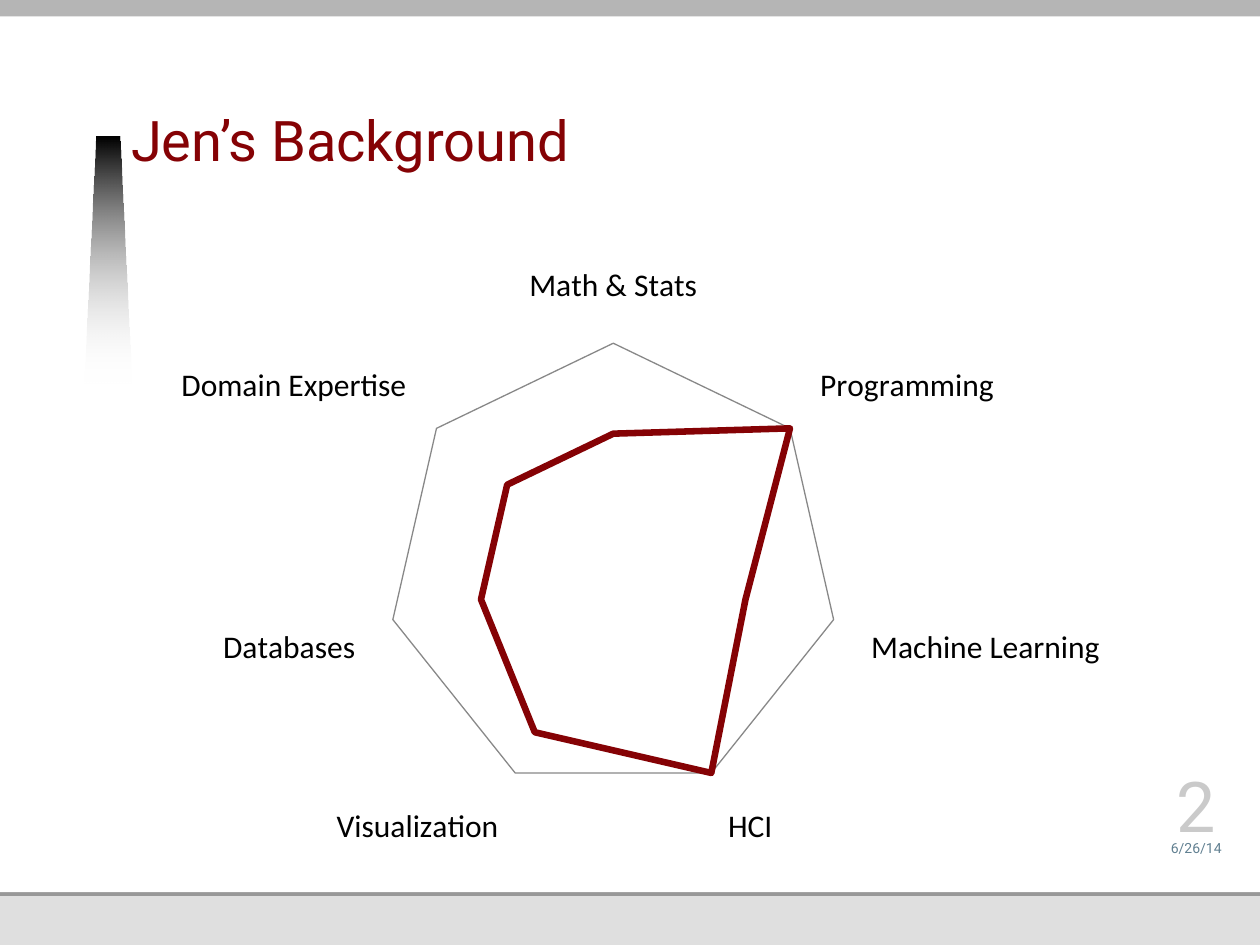
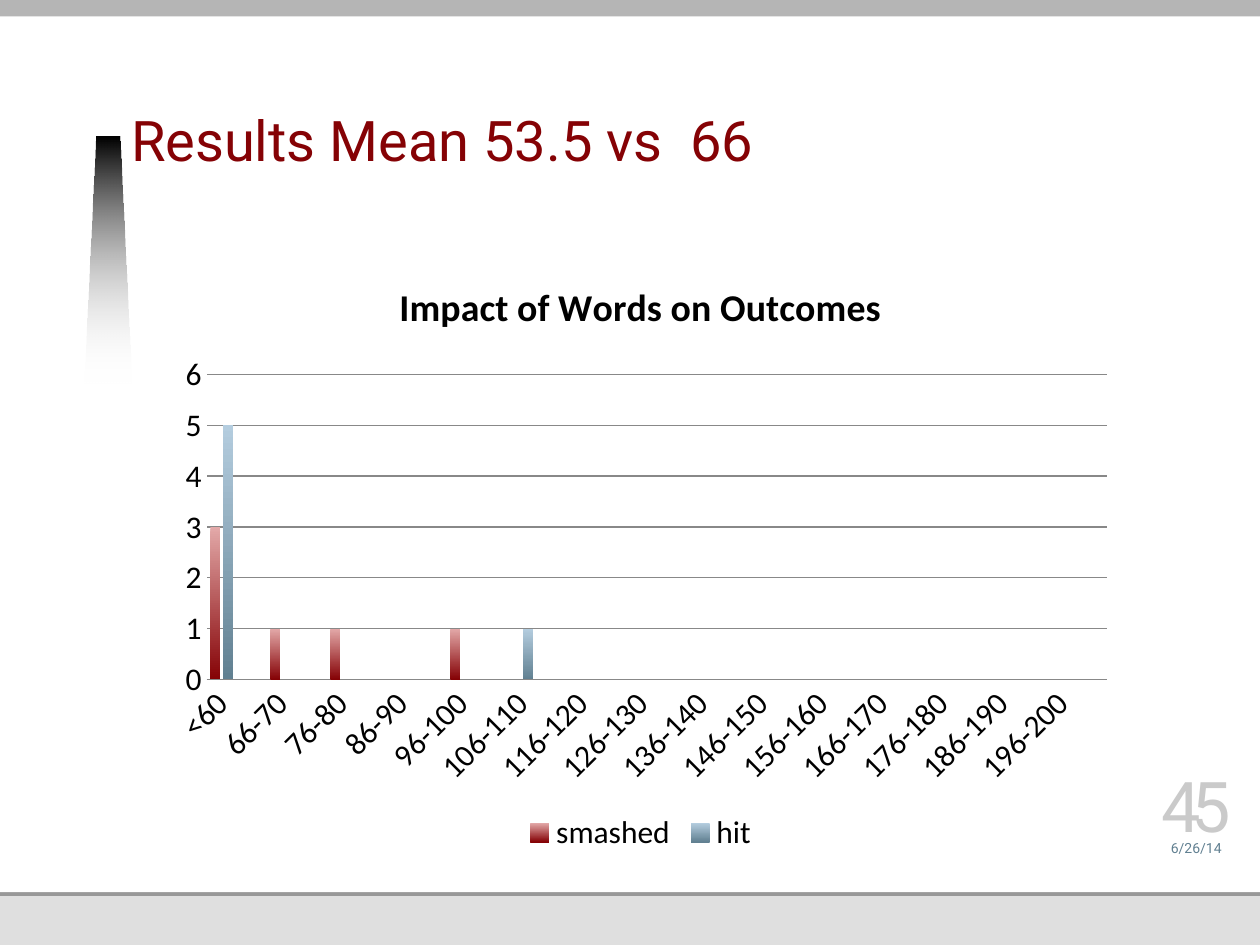
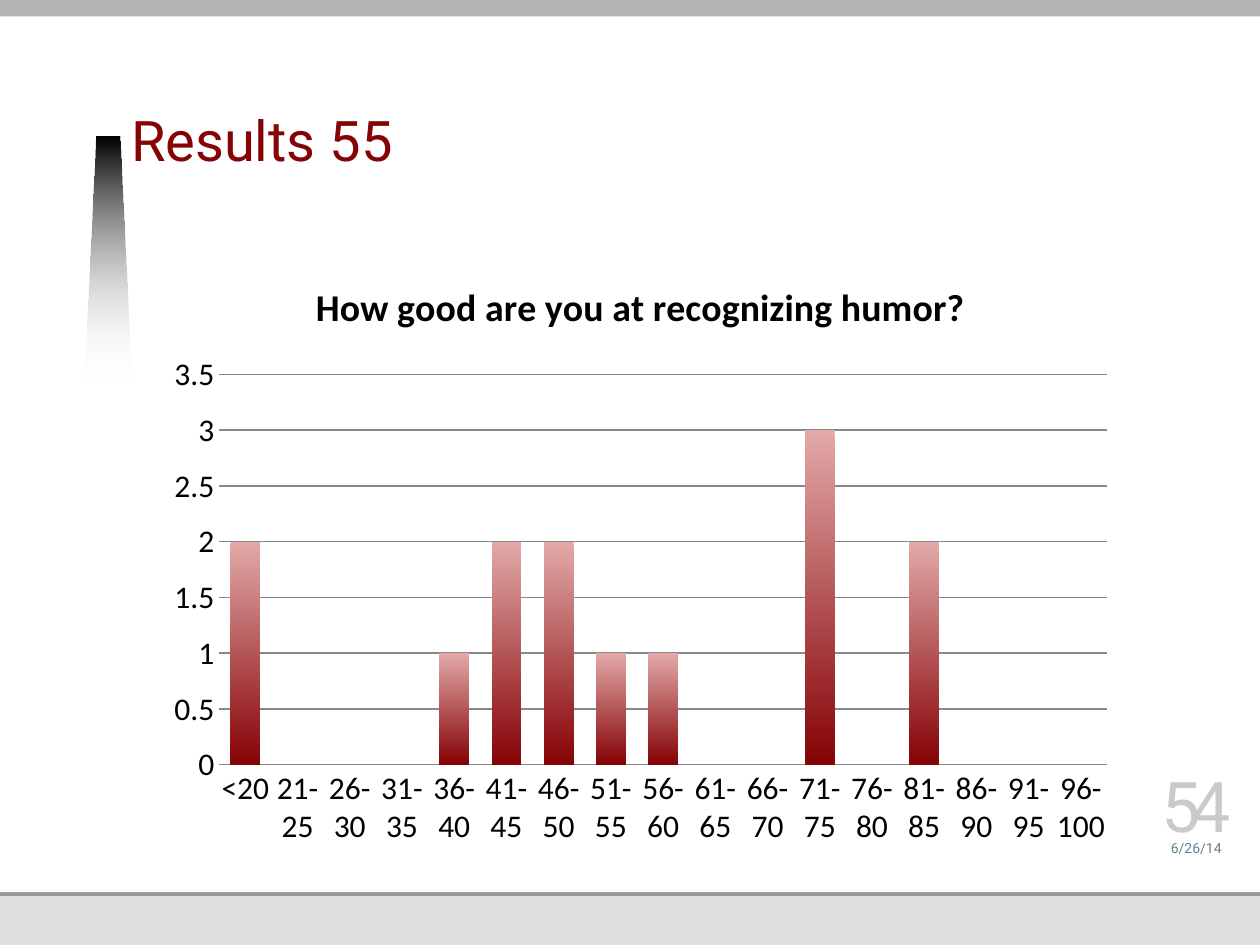
from dataclasses import dataclass

from lxml.etree import SubElement
from pptx import Presentation
from pptx.chart.data import CategoryChartData
from pptx.dml.color import RGBColor
from pptx.enum.chart import XL_CHART_TYPE, XL_LEGEND_POSITION, XL_TICK_MARK
from pptx.enum.shapes import MSO_SHAPE
from pptx.enum.text import MSO_ANCHOR, PP_ALIGN
from pptx.oxml.ns import qn
from pptx.util import Inches, Pt

COLORS = {
    "red": "850205", "light red": "E3A9A9",
    "blue": "618091", "light blue": "B4CDDF",
    "black": "000000", "white": "FFFFFF",
    "footer": "DFDFDF", "rule": "989898", "band": "B5B5B5",
    "number": "CACACA", "grid": "888888",
}
HEADING_FONT, CHART_FONT = "Roboto", "Calibri"
DATE = "6/26/14"


@dataclass
class Box:
    left: int
    top: int
    width: int
    height: int

    def inner(self, left, top, width, height):
        """Return an inner box given in percent of this one."""
        return Box(round(self.left + self.width * left / 100),
                   round(self.top + self.height * top / 100),
                   round(self.width * width / 100),
                   round(self.height * height / 100))

    def bounds(self):
        return self.left, self.top, self.width, self.height


def color(name):
    return RGBColor.from_string(COLORS[name])


def set_gradient(fill, top, bottom):
    fill.gradient()
    fill.gradient_angle = 270
    for stop, name in zip(fill.gradient_stops, (top, bottom)):
        stop.color.rgb = color(name)


def add_band(slide, box, name):
    shape = slide.shapes.add_shape(MSO_SHAPE.RECTANGLE, *box.bounds())
    shape.shadow.inherit = False
    shape.fill.solid()
    shape.fill.fore_color.rgb = color(name)
    shape.line.fill.background()


def add_beam(slide, box):
    """Draw the tapered beam that fades out beside the title."""
    right, bottom = box.left + box.width, box.top + box.height
    inset = box.width // 4
    builder = slide.shapes.build_freeform(box.left, bottom, scale=1.0)
    builder.add_line_segments([(box.left + inset, box.top),
                               (right - inset, box.top), (right, bottom)])
    beam = builder.convert_to_shape()
    beam.shadow.inherit = False
    beam.line.fill.background()
    set_gradient(beam.fill, "black", "white")
    last_color = list(beam.element.iter(qn("a:srgbClr")))[-1]
    SubElement(last_color, qn("a:alpha"), val="0")


def add_text(slide, box, text, size, name, align=PP_ALIGN.LEFT,
             bottom_margin=0, line_points=None, spacing=None):
    frame = slide.shapes.add_textbox(*box.bounds()).text_frame
    frame.word_wrap = True
    frame.vertical_anchor = MSO_ANCHOR.BOTTOM
    frame.margin_left = frame.margin_right = frame.margin_top = 0
    frame.margin_bottom = Inches(bottom_margin)
    frame.text = text
    paragraph = frame.paragraphs[0]
    paragraph.alignment = align
    if line_points:
        paragraph.line_spacing = Pt(line_points)
    run = paragraph.runs[0]
    run.font.name = HEADING_FONT
    run.font.size = Pt(size)
    run.font.color.rgb = color(name)
    if spacing:
        run._r.get_or_add_rPr().set("spc", str(spacing * 100))


def add_background(slide, page):
    add_band(slide, page, "footer")
    add_band(slide, page.inner(0, 23.7, 100, 71.1), "rule")
    add_band(slide, page.inner(0, 0, 100, 94.4), "white")
    add_beam(slide, page.inner(6.7, 14.4, 3.75, 26.2))
    add_band(slide, page.inner(0, -0.53, 101.7, 2.27), "band")


def add_footer(slide, box, number):
    add_text(slide, box.inner(0, 65.6, 100, 34.4), DATE, 8, "blue", PP_ALIGN.CENTER)
    add_text(slide, box.inner(0, 0, 100, 87.5), number, 40, "number",
             PP_ALIGN.CENTER, spacing=-5)


def add_chart(slide, box, kind, categories, series):
    data = CategoryChartData()
    data.categories = categories
    for name, values in series.items():
        data.add_series(name, values)
    chart = slide.shapes.add_chart(kind, *box.bounds(), data).chart
    chart.font.name = CHART_FONT
    chart.font.size = Pt(18)
    chart.font.color.rgb = color("black")
    chart.has_title = chart.has_legend = False
    chart.category_axis.major_tick_mark = XL_TICK_MARK.NONE
    axis = chart.value_axis
    axis.major_tick_mark = XL_TICK_MARK.NONE
    axis.has_major_gridlines = True
    for line in (axis.major_gridlines.format.line, chart.category_axis.format.line):
        line.color.rgb = color("grid")
        line.width = Pt(0.75)
    return chart


def set_scale(chart, maximum, unit):
    axis = chart.value_axis
    axis.minimum_scale, axis.maximum_scale, axis.major_unit = 0, maximum, unit


def add_radar_chart(slide, box, categories, series):
    chart = add_chart(slide, box, XL_CHART_TYPE.RADAR, categories, series)
    set_scale(chart, 100, 100)
    chart.category_axis.has_major_gridlines = True
    chart.value_axis.visible = False
    for skill_series in chart.plots[0].series:
        skill_series.smooth = False
        skill_series.format.line.color.rgb = color("red")
        skill_series.format.line.width = Pt(3.75)


def add_column_chart(slide, box, title, categories, series, maximum, unit):
    chart = add_chart(slide, box, XL_CHART_TYPE.COLUMN_CLUSTERED, categories, series)
    set_scale(chart, maximum, unit)
    chart.value_axis.format.line.fill.background()

    # Title
    chart.has_title = True
    chart.chart_title.text_frame.text = title
    font = chart.chart_title.text_frame.paragraphs[0].runs[0].font
    font.name, font.size, font.bold = CHART_FONT, Pt(21.6), True
    font.color.rgb = color("black")

    # Columns
    plot = chart.plots[0]
    plot.vary_by_categories = False
    plot.gap_width, plot.overlap = 75, -25
    for column_series, name in zip(plot.series, ("red", "blue")):
        set_gradient(column_series.format.fill, "light " + name, name)

    # Legend
    if len(series) > 1:
        chart.has_legend = True
        chart.legend.position = XL_LEGEND_POSITION.BOTTOM
        chart.legend.include_in_layout = False


def add_slide(presentation, title, number):
    """Add a slide with the shared elements and return it with its chart box."""
    slide = presentation.slides.add_slide(presentation.slide_layouts[6])
    page = Box(0, 0, presentation.slide_width, presentation.slide_height)
    add_background(slide, page)
    add_text(slide, page.inner(10.4, 4.53, 68.7, 14.4), title, 32, "red",
             bottom_margin=0.05, line_points=34)
    add_footer(slide, page.inner(91.3, 82.13, 7.3, 8.53), number)
    return slide, page.inner(12.3, 26.93, 77.1, 63.87)


def ranges(first, last, step=5):
    return [f"{low}-{low + step - 1}" for low in range(first, last, step)]


def place_counts(categories, counts):
    return [counts.get(category, 0) for category in categories]


def main():
    presentation = Presentation()
    presentation.slide_width, presentation.slide_height = Inches(10), Inches(7.5)

    # Skills
    slide, box = add_slide(presentation, "Jen’s Background", "2")
    skills = {"Math & Stats": 60, "Programming": 100, "Machine Learning": 60,
              "HCI": 100, "Visualization": 80, "Databases": 60,
              "Domain Expertise": 60}
    add_radar_chart(slide, box, list(skills), {"Series 1": list(skills.values())})

    # Word choice
    slide, box = add_slide(presentation, "Results Mean 53.5 vs  66", "45")
    speeds = ["<60", *ranges(61, 200), ">200"]
    smashed = {"<60": 3, "66-70": 1, "76-80": 1, "96-100": 1}
    hit = {"<60": 5, "106-110": 1}
    add_column_chart(slide, box, "Impact of Words on Outcomes", speeds,
                     {"smashed": place_counts(speeds, smashed),
                      "hit": place_counts(speeds, hit)}, 6, 1)

    # Humor
    slide, box = add_slide(presentation, "Results 55", "54")
    scores = ["<20", *ranges(21, 100)]
    answers = {"<20": 2, "36-40": 1, "41-45": 2, "46-50": 2, "51-55": 1,
               "56-60": 1, "71-75": 3, "81-85": 2}
    add_column_chart(slide, box, "How good are you at recognizing humor?", scores,
                     {"Series 1": place_counts(scores, answers)}, 3.5, 0.5)

    presentation.save("out.pptx")


if __name__ == "__main__":
    main()
